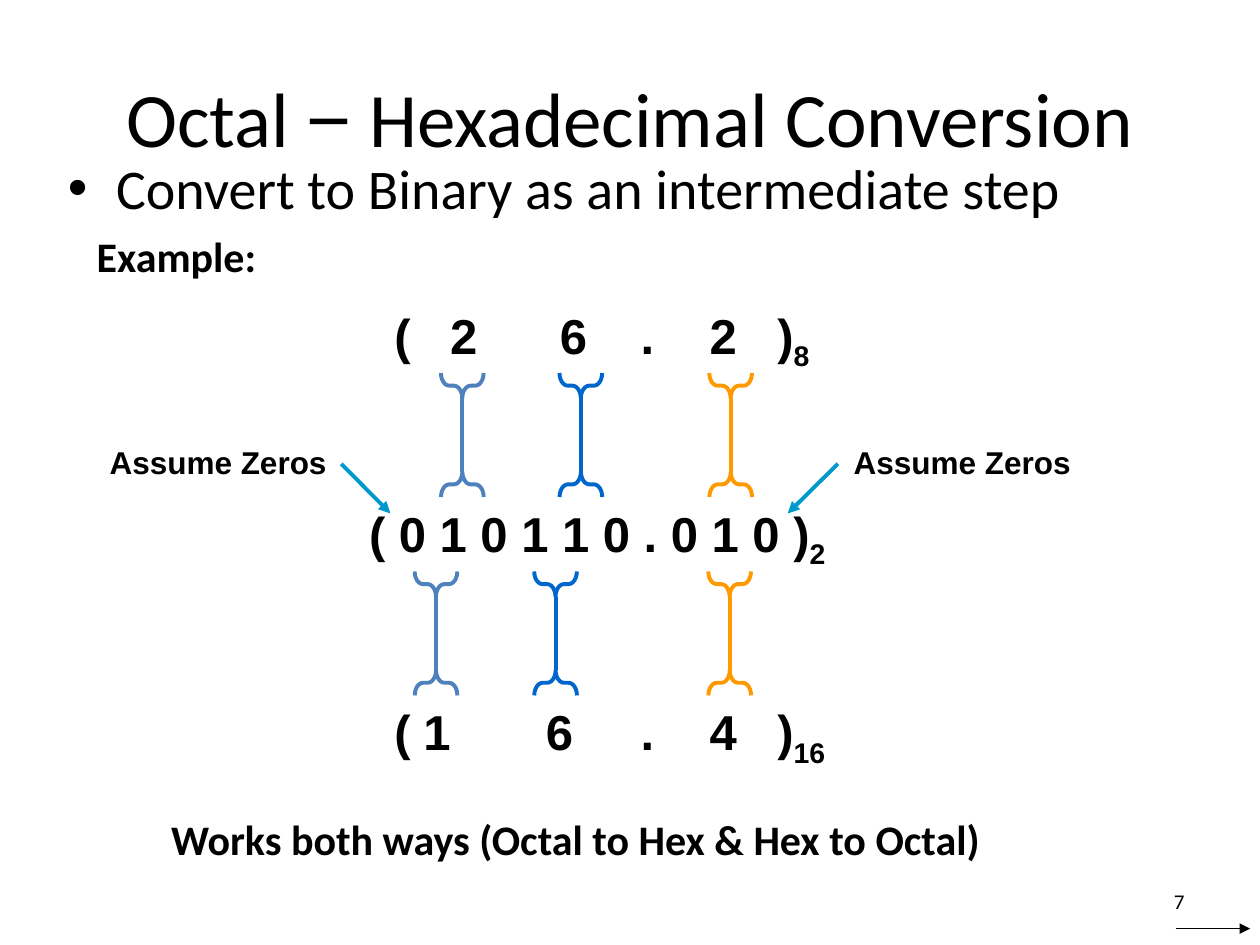
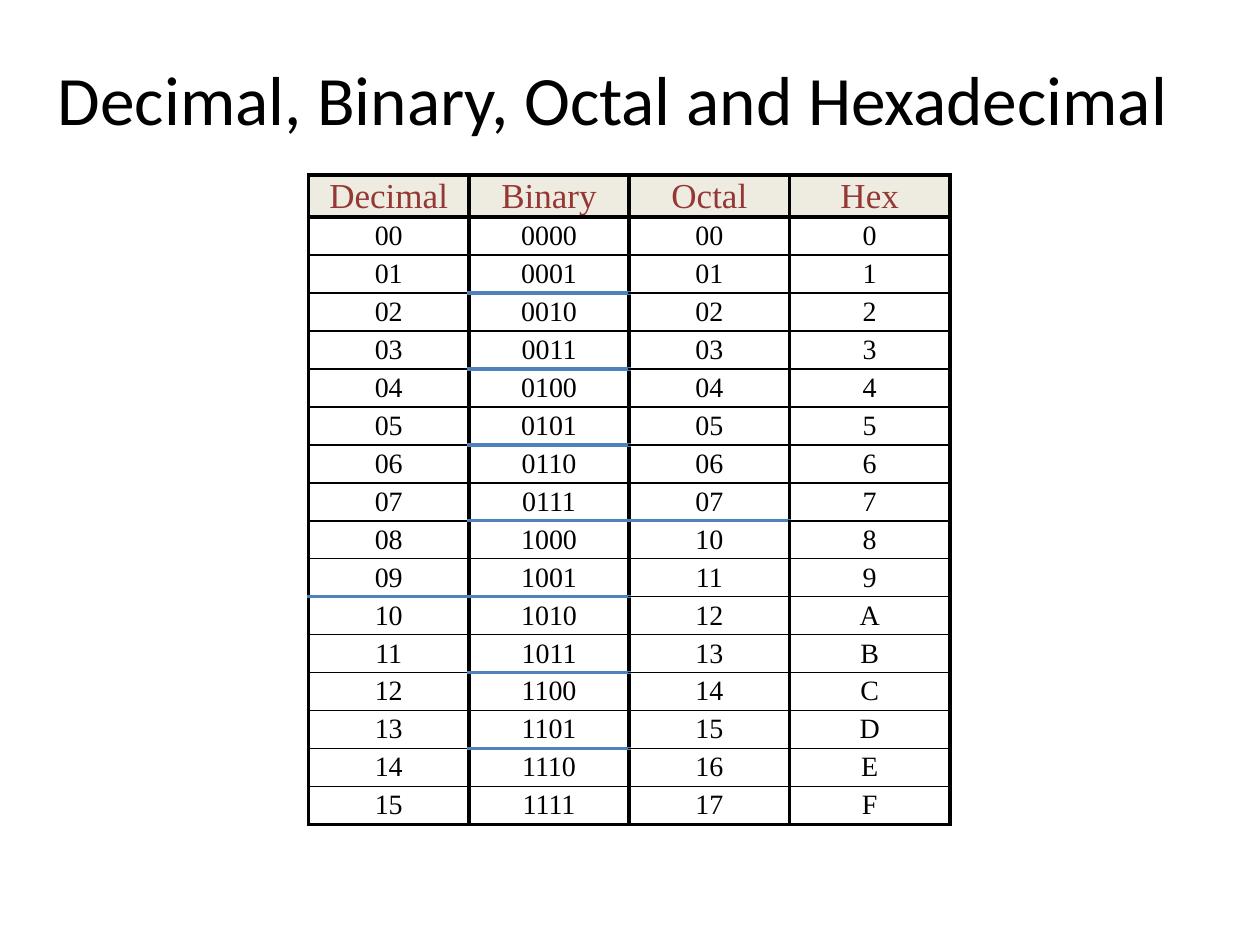
from lxml.etree import SubElement as Sub
from pptx import Presentation
from pptx.dml.color import RGBColor
from pptx.enum.shapes import MSO_CONNECTOR as Link, MSO_SHAPE as Form
from pptx.enum.text import MSO_ANCHOR as Anchor, PP_ALIGN as Align
from pptx.oxml.ns import qn
from pptx.util import Cm, Pt

BLACK, STEEL, BLUE, AMBER, TEAL = "000000", "4F81BD", "0066CC", "FF9900", "0099CC"
MAROON, CREAM = "953735", "EEECE1"
SANS, DIGIT, SERIF = "Calibri", "Arial", "Times New Roman"


def tint(code):
    return RGBColor.from_string(code)


def style(para, size, face=SANS, bold=False, color=BLACK, align=Align.LEFT):
    para.alignment = align
    font = para.font
    font.size, font.name, font.bold = Pt(size), face, bold
    font.color.rgb = tint(color)


def add_text(slide, box, text="", inset=(0.25, 0.13), anchor=Anchor.TOP):
    frame = slide.shapes.add_textbox(*map(Cm, box)).text_frame
    frame.word_wrap = True
    frame.vertical_anchor = anchor
    frame.margin_left = frame.margin_right = Cm(inset[0])
    frame.margin_top = frame.margin_bottom = Cm(inset[1])
    para = frame.paragraphs[0]
    if text:
        para.add_run().text = text
    return para


def add_line(shapes, start, end, color, width=2.25, arrow=False):
    line = shapes.add_connector(Link.STRAIGHT, *map(Cm, start + end))
    line.line.color.rgb = tint(color)
    line.line.width = Pt(width)
    if arrow:
        Sub(line.line._get_or_add_ln(), qn("a:tailEnd"), type="triangle")
    Sub(line._element.spPr, qn("a:effectLst"))


def add_title(slide, box, parts, size):
    para = add_text(slide, box, anchor=Anchor.MIDDLE)
    style(para, size, align=Align.CENTER)
    for text, face in parts:
        run = para.add_run()
        run.text = text
        run.font.name = face


def add_bullet(slide, box, text):
    para = add_text(slide, box, text, (0.18, 0.08))
    props = para._p.get_or_add_pPr()
    props.set("marL", str(Cm(0.97)))
    props.set("indent", str(-Cm(0.97)))
    Sub(props, qn("a:buFont"), typeface=DIGIT)
    Sub(props, qn("a:buChar"), char="•")
    style(para, 32)


def add_number(slide, box, text, base, stops):
    para = add_text(slide, box, text)
    if stops:
        tabs = Sub(para._p.get_or_add_pPr(), qn("a:tabLst"))
        for spot in stops:
            kind = "l" if spot == stops[-1] else "ctr"
            Sub(tabs, qn("a:tab"), pos=str(Cm(spot)), algn=kind)
    style(para, 28, DIGIT, True)
    run = para.add_run()
    run.text = base
    run._r.get_or_add_rPr().set("baseline", "-25000")


def add_stem(slide, box, color):
    x, y, w, h = box
    deep = 0.51
    mid = x + w / 2
    group = slide.shapes.add_group_shape().shapes
    for top, turn in ((y, 270), (y + h - deep, 90)):
        spot = (mid - deep / 2, top + deep / 2 - w / 2, deep, w)
        brace = group.add_shape(Form.LEFT_BRACE, *map(Cm, spot))
        brace.rotation = turn
        brace.adjustments[0] = 0.33
        brace.shadow.inherit = False
        brace.fill.background()
        brace.line.color.rgb = tint(color)
        brace.line.width = Pt(2.25)
    add_line(group, (mid, y + deep), (mid, y + h - deep), color)


def add_steps(slide, box):
    x, y, w, h = box
    pitch = 4
    rows = (
        (5.49, "(\t2\t6\t.\t2\t)", "8", (1.4, 3.61, 5.1, 6.63, 7.72)),
        (4.98, "( 0 1 0 1 1 0 . 0 1 0 )", "2", ()),
        (5.49, "(\t1\t6\t.\t4\t)", "16", (0.86, 3.33, 5.1, 6.63, 7.72)),
    )
    for i, (left, text, base, stops) in enumerate(rows):
        add_number(slide, (x + left, y + i * pitch, 9.88, 1.45), text, base, stops)
    for i, mids in enumerate(((7.11, 9.5, 12.52), (6.58, 8.99, 12.5))):
        for mid, color in zip(mids, (STEEL, BLUE, AMBER)):
            spot = (x + mid - 0.43, y + 1.5 + i * pitch, 0.86, 2.5)
            add_stem(slide, spot, color)
    notes = ((0, 4.67, 5.66), (w - 5, 14.68, 13.67))
    for left, tail, tip in notes:
        para = add_text(slide, (x + left, y + 3, 5, 0.69), "Assume Zeros", (0, 0))
        para.line_spacing = 0.9
        style(para, 18, DIGIT, True)
        add_line(slide.shapes, (x + tail, y + 3.33), (x + tip, y + 4.33), TEAL, arrow=True)


def add_foot(slide, box, page):
    x, y, w, h = box
    para = add_text(slide, (x, y, w - 1.07, h), page, anchor=Anchor.MIDDLE)
    style(para, 12, align=Align.RIGHT)
    add_line(slide.shapes, (x + w - 1.5, y + 1.07), (x + w, y + 1.07), BLACK, 0.75, True)


def rule(row, col):
    if row in (-1, 0, 16):
        return BLACK, 2.25
    if (col == 1 and row % 2 == 0) or (row, col) in ((8, 2), (10, 0)):
        return STEEL, 2.25
    return BLACK, 1


def add_edges(cell, row, col):
    props = cell._tc.get_or_add_tcPr()
    side = (BLACK, 2.25)
    edges = zip("LRTB", (side, side, rule(row - 1, col), rule(row, col)))
    for name, (color, width) in edges:
        line = Sub(props, qn("a:ln" + name), w=str(Pt(width)))
        Sub(Sub(line, qn("a:solidFill")), qn("a:srgbClr"), val=color)


def add_codes(slide, box):
    data = [("Decimal", "Binary", "Octal", "Hex")]
    data += [(f"{n:02}", f"{n:04b}", f"{n:02o}", f"{n:X}") for n in range(16)]
    table = slide.shapes.add_table(len(data), 4, *map(Cm, box)).table
    table.first_row = table.horz_banding = False
    head = 0.84
    for col in table.columns:
        col.width = Cm(box[2] / 4)
    for r, texts in enumerate(data):
        table.rows[r].height = Cm(head if r == 0 else (box[3] - head) / 16)
        for c, text in enumerate(texts):
            cell = table.cell(r, c)
            cell.margin_left = cell.margin_right = 0
            cell.margin_top = cell.margin_bottom = 0
            cell.vertical_anchor = Anchor.MIDDLE
            add_edges(cell, r, c)
            cell.text = text
            size, color = (16, BLACK) if r else (20, MAROON)
            style(cell.text_frame.paragraphs[0], size, SERIF, False, color, Align.CENTER)
            if r:
                cell.fill.background()
            else:
                cell.fill.solid()
                cell.fill.fore_color.rgb = tint(CREAM)


def make_steps(slide):
    parts = (("Octal ", SANS), ("−", DIGIT), (" Hexadecimal Conversion", SANS))
    add_title(slide, (1.27, 0.76, 22.86, 3.18), parts, 44)
    add_bullet(slide, (1.19, 3.02, 23.5, 1.52), "Convert to Binary as an intermediate step")
    style(add_text(slide, (1.7, 4.52, 4, 1.27), "Example:"), 24, bold=True)
    add_steps(slide, (2.21, 6.02, 20, 9.45))
    close = "Works both ways (Octal to Hex & Hex to Octal)"
    style(add_text(slide, (3.2, 16.26, 20, 1.27), close), 24, bold=True)
    add_foot(slide, (18.2, 17.65, 7, 1.02), "7")


def make_codes(slide):
    parts = (("Decimal, Binary, Octal and Hexadecimal", SANS),)
    add_title(slide, (0.58, 0.76, 23.55, 2.44), parts, 39.6)
    add_codes(slide, (6.22, 3.53, 12.93, 13.08))


def main():
    deck = Presentation()
    deck.slide_width, deck.slide_height = Cm(25.4), Cm(19.05)
    for make in (make_steps, make_codes):
        make(deck.slides.add_slide(deck.slide_layouts[6]))
    deck.save("out.pptx")


if __name__ == "__main__":
    main()
